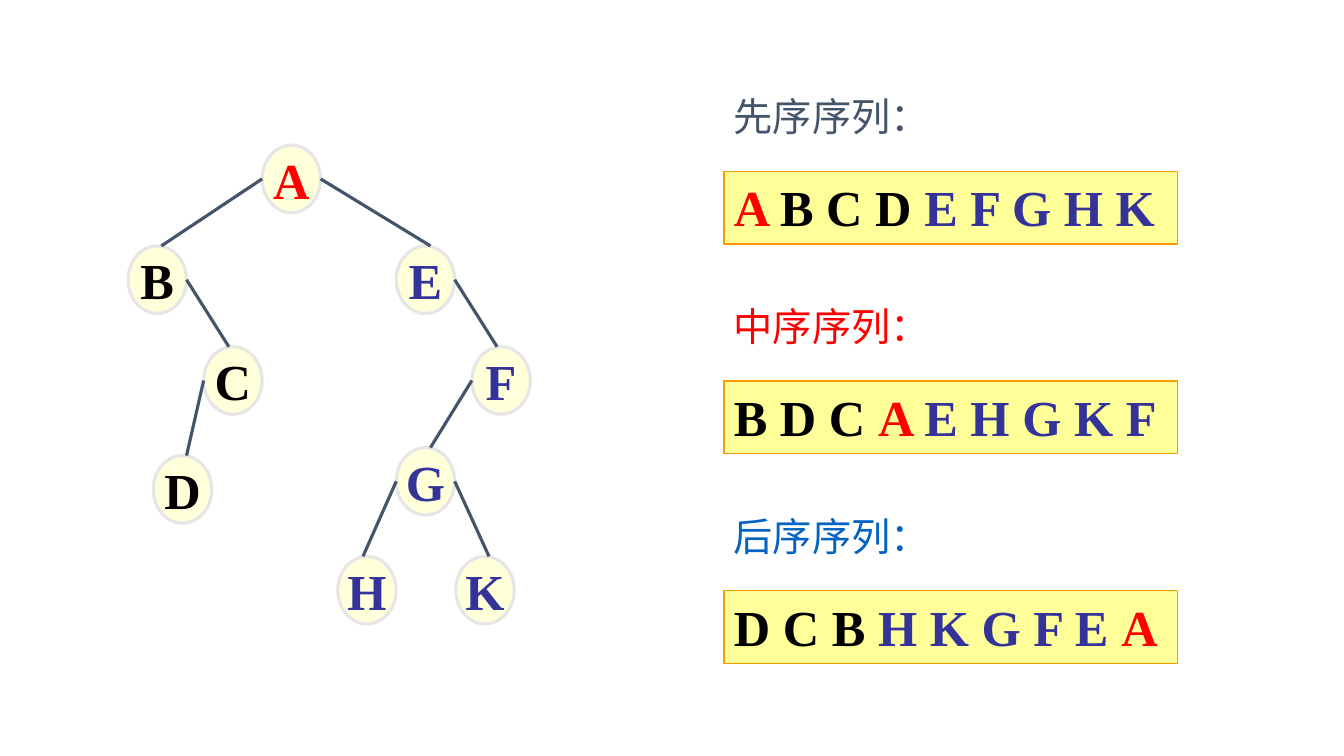
"""Build a slide with a binary tree and its three traversal sequences."""
from itertools import groupby

from lxml import etree
from pptx import Presentation
from pptx import util as u
from pptx.dml.color import RGBColor
from pptx.enum import shapes, text
from pptx.oxml import ns

COLORS = {
    "root": "FF0000", "left": "000000", "right": "333399",
    "node": "FFFFD9", "ring": "E7E6E6", "edge": "44546A",
    "band": "FFFF99", "border": "FF9900",
    "preorder": "44546A", "inorder": "FF0000", "postorder": "0563C1",
}
LATIN, CHINESE = "Times New Roman", "Noto Sans CJK SC"
NODE_WIDTH, NODE_HEIGHT = 0.58, 0.67
NODES = {
    "A": (2.6, 1.44), "B": (1.27, 2.44), "C": (2.02, 3.44),
    "D": (1.52, 4.52), "E": (3.93, 2.44), "F": (4.68, 3.44),
    "G": (3.93, 4.44), "H": (3.35, 5.52), "K": (4.52, 5.52),
}
EDGES = [("A", "B", 1.6), ("B", "C", 2.27), ("C", "D", 1.85), ("A", "E", 4.27),
         ("E", "F", 4.93), ("F", "G", 4.27), ("G", "H", 3.6), ("G", "K", 4.85)]
SEQUENCES = [("先序序列：", "preorder", "ABCDEFGHK"),
             ("中序序列：", "inorder", "BDCAEHGKF"),
             ("后序序列：", "postorder", "DCBHKGFEA")]
SEQUENCE_LEFT, SEQUENCE_TOP, SEQUENCE_STEP = 7.18, 0.87, 2.08


def rgb(name):
    """Return the named colour."""
    return RGBColor.from_string(COLORS[name])


def branch(letter):
    """Return the part of the tree that holds a letter."""
    return "root" if letter == "A" else "left" if letter in "BCD" else "right"


def add_span(para, words, color, size=36, font=LATIN, bold=True):
    """Add one formatted run to a paragraph."""
    span = para.add_run()
    span.text = words
    span.font.size, span.font.name, span.font.bold = u.Pt(size), font, bold
    span.font.color.rgb = rgb(color)
    etree.SubElement(span.font._element, ns.qn("a:ea"), typeface=font)


def add_panel(page, kind, bounds, fill, line, weight):
    """Add a filled, outlined shape without a shadow."""
    panel = page.shapes.add_shape(kind, *map(u.Inches, bounds))
    panel.shadow.inherit = False
    panel.fill.solid()
    panel.fill.fore_color.rgb = rgb(fill)
    panel.line.color.rgb = rgb(line)
    panel.line.width = u.Pt(weight)
    return panel


def add_node(page, letter):
    """Add a tree node with its letter."""
    bounds = (*NODES[letter], NODE_WIDTH, NODE_HEIGHT)
    node = add_panel(page, shapes.MSO_SHAPE.OVAL, bounds, "node", "ring", 2.25)
    node.text_frame.word_wrap = False
    node.text_frame.vertical_anchor = text.MSO_ANCHOR.MIDDLE
    para = node.text_frame.paragraphs[0]
    para.alignment = text.PP_ALIGN.CENTER
    add_span(para, letter, branch(letter))


def add_edge(page, parent, child, end_x):
    """Draw a line from the side of a parent to the top of a child."""
    left, top = NODES[parent]
    start_x = left if end_x < left + NODE_WIDTH / 2 else left + NODE_WIDTH
    points = (start_x, top + NODE_HEIGHT / 2, end_x, NODES[child][1])
    edge = page.shapes.add_connector(
        shapes.MSO_CONNECTOR.STRAIGHT, *map(u.Inches, points))
    edge.line.color.rgb = rgb("edge")
    edge.line.width = u.Pt(2.25)
    etree.SubElement(edge._element.spPr, ns.qn("a:effectLst"))


def add_heading(page, words, color, top):
    """Add the name of a sequence."""
    bounds = (SEQUENCE_LEFT, top, 2.83, 0.57)
    box = page.shapes.add_textbox(*map(u.Inches, bounds))
    box.text_frame.word_wrap = True
    add_span(box.text_frame.paragraphs[0], words, color, 28, CHINESE, False)


def add_sequence(page, letters, top):
    """Add a band of letters coloured by branch."""
    bounds = (SEQUENCE_LEFT, top, 4.5, 0.72)
    band = add_panel(page, shapes.MSO_SHAPE.RECTANGLE, bounds, "band", "border", 1)
    band.text_frame.word_wrap = True
    band.text_frame.vertical_anchor = text.MSO_ANCHOR.TOP
    para = band.text_frame.paragraphs[0]
    para.alignment = text.PP_ALIGN.LEFT
    for color, group in groupby(" ".join(letters).split(" "), branch):
        words = " ".join(group)
        last = words[-1] == letters[-1]
        add_span(para, words if last else words + " ", color)


def main():
    """Build and save the deck."""
    deck = Presentation()
    deck.slide_width, deck.slide_height = u.Inches(13.33), u.Inches(7.5)
    page = deck.slides.add_slide(deck.slide_layouts[6])
    for letter in NODES:
        add_node(page, letter)
    for parent, child, end_x in EDGES:
        add_edge(page, parent, child, end_x)
    for index, (words, color, letters) in enumerate(SEQUENCES):
        top = SEQUENCE_TOP + index * SEQUENCE_STEP
        add_heading(page, words, color, top)
        add_sequence(page, letters, top + 0.83)
    deck.save("out.pptx")


if __name__ == "__main__":
    main()
